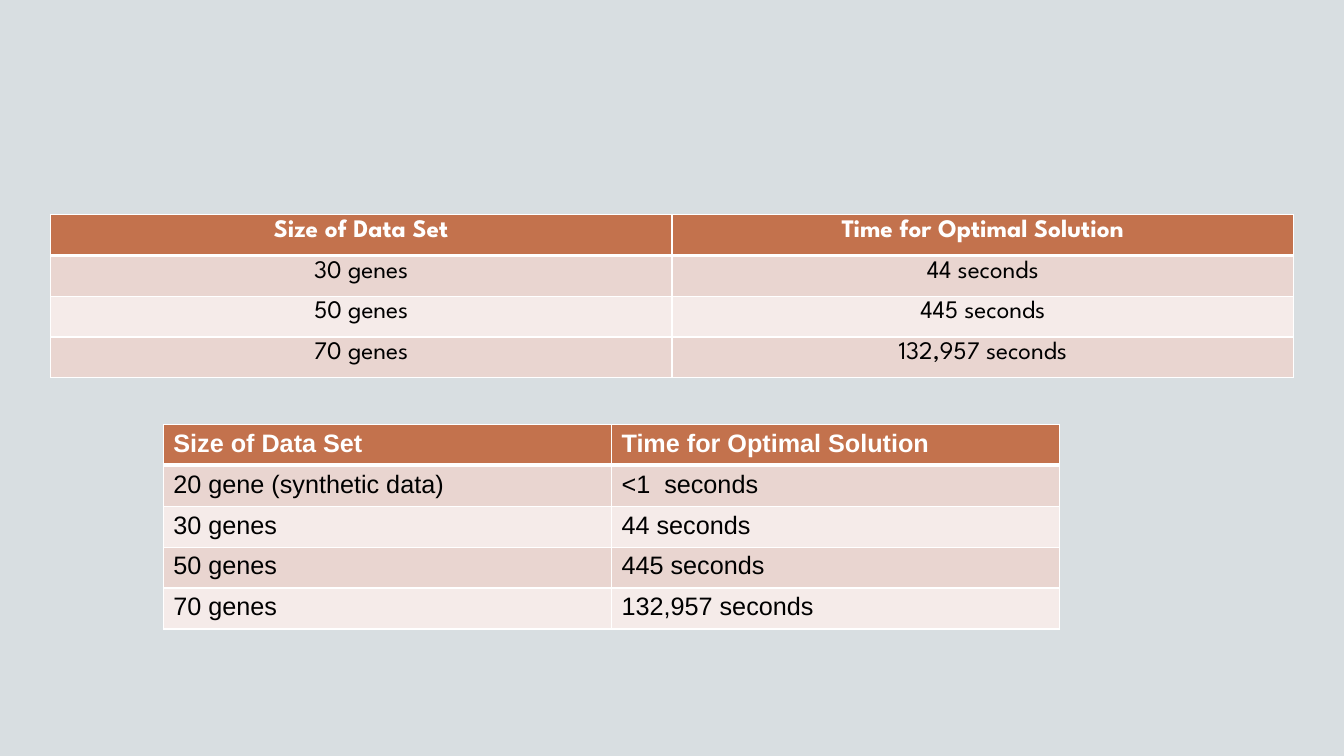
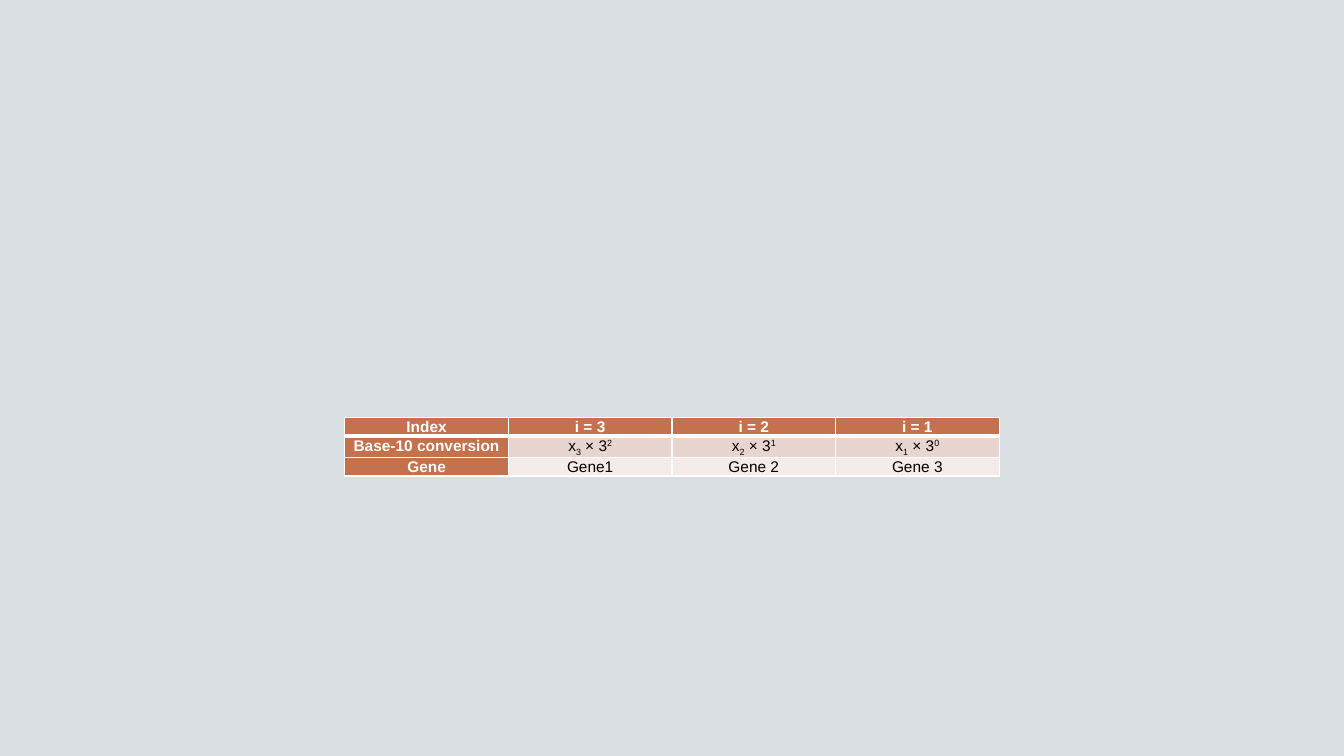
from dataclasses import dataclass
from typing import Optional, Union

from lxml import etree
from pptx import Presentation
from pptx.dml.color import RGBColor
from pptx.enum.text import PP_ALIGN
from pptx.oxml.ns import qn
from pptx.util import Inches, Pt

LEFT, CENTER = PP_ALIGN.LEFT, PP_ALIGN.CENTER

# Shared colours
WHITE, BLACK = "FFFFFF", "000000"
BACKGROUND = "D8DEE1"
HEADER = "C3724D"
BANDS = ("E9D5D0", "F5EBE9")

BLANK_LAYOUT = 6
SUBSCRIPT, SUPERSCRIPT = -25, 30


@dataclass(frozen=True)
class Span:
    text: str
    baseline: int = 0


CellText = Union[str, tuple[Span, ...]]


@dataclass(frozen=True)
class TableDesign:
    left: float
    top: float
    width: float
    height: float
    rows: tuple[tuple[CellText, ...], ...]
    font: str = "Arial"
    size: float = 18
    align: PP_ALIGN = LEFT
    header_column: bool = False
    margins: tuple[float, float] = (0.1, 0.05)
    line_spacing: Optional[float] = None


def color(value: str) -> RGBColor:
    return RGBColor.from_string(value)


def set_borders(cell, top: float, bottom: float) -> None:
    """Draw white cell borders; the schema wants them before the fill."""
    properties = cell._tc.get_or_add_tcPr()
    widths = {"a:lnL": 1, "a:lnR": 1, "a:lnT": top, "a:lnB": bottom}
    for position, (tag, width) in enumerate(widths.items()):
        line = etree.Element(qn(tag), w=str(Pt(width)))
        fill = etree.SubElement(line, qn("a:solidFill"))
        etree.SubElement(fill, qn("a:srgbClr"), val=WHITE)
        properties.insert(position, line)


def write_cell(cell, content: CellText, design: TableDesign, heading: bool) -> None:
    spans = (Span(content),) if isinstance(content, str) else content
    para = cell.text_frame.paragraphs[0]
    para.alignment = design.align
    if design.line_spacing:
        para.line_spacing = design.line_spacing
    for span in spans:
        run = para.add_run()
        run.text = span.text
        run.font.name = design.font
        run.font.size = Pt(design.size)
        run.font.bold = heading
        run.font.color.rgb = color(WHITE if heading else BLACK)
        if span.baseline:
            run._r.get_or_add_rPr().set("baseline", str(span.baseline * 1000))


def add_data_table(page, design: TableDesign) -> None:
    row_count, column_count = len(design.rows), len(design.rows[0])
    frame = page.shapes.add_table(
        row_count, column_count, Inches(design.left), Inches(design.top),
        Inches(design.width), Inches(design.height))
    table = frame.table
    table.first_col = design.header_column

    side, edge = (Inches(margin) for margin in design.margins)
    for row_index, row in enumerate(design.rows):
        for column_index, content in enumerate(row):
            cell = table.cell(row_index, column_index)
            heading = row_index == 0 or (design.header_column and column_index == 0)
            cell.margin_left = cell.margin_right = side
            cell.margin_top = cell.margin_bottom = edge
            cell.fill.solid()
            cell.fill.fore_color.rgb = color(
                HEADER if heading else BANDS[(row_index - 1) % 2])
            # A heavier rule separates the header row from the body
            set_borders(cell, top=3 if row_index == 1 else 1,
                        bottom=3 if row_index == 0 else 1)
            write_cell(cell, content, design, heading)


def base_three_term(index: int) -> tuple[Span, ...]:
    return (Span("x"), Span(str(index), SUBSCRIPT),
            Span(" × 3"), Span(str(index - 1), SUPERSCRIPT))


# Slide content
TIMING_HEADER = ("Size of Data Set", "Time for Optimal Solution")
TIMINGS = (
    ("30 genes", "44 seconds"),
    ("50 genes", "445 seconds"),
    ("70 genes", "132,957 seconds"),
)
INDEXES = (3, 2, 1)

PAGES = (
    (
        TableDesign(0.5, 2.13, 12.33, 1.62, (TIMING_HEADER, *TIMINGS),
                    font="League Spartan", align=CENTER),
        TableDesign(1.62, 4.21, 8.89, 2.03,
                    (TIMING_HEADER, ("20 gene (synthetic data)", "<1  seconds"),
                     *TIMINGS)),
    ),
    (
        TableDesign(3.42, 4.14, 6.49, 0.56, (
            ("Index", *(f"i = {index}" for index in INDEXES)),
            ("Base-10 conversion", *(base_three_term(index) for index in INDEXES)),
            ("Gene", "Gene1", "Gene 2", "Gene 3"),
        ), size=11, align=CENTER, header_column=True, margins=(0.07, 0),
            line_spacing=1.07),
    ),
)


def main() -> None:
    deck = Presentation()
    deck.slide_width, deck.slide_height = Inches(13.33), Inches(7.5)

    # Background shared by every slide
    backdrop = deck.slide_master.background.fill
    backdrop.solid()
    backdrop.fore_color.rgb = color(BACKGROUND)

    for designs in PAGES:
        page = deck.slides.add_slide(deck.slide_layouts[BLANK_LAYOUT])
        for design in designs:
            add_data_table(page, design)
    deck.save("out.pptx")


if __name__ == "__main__":
    main()
